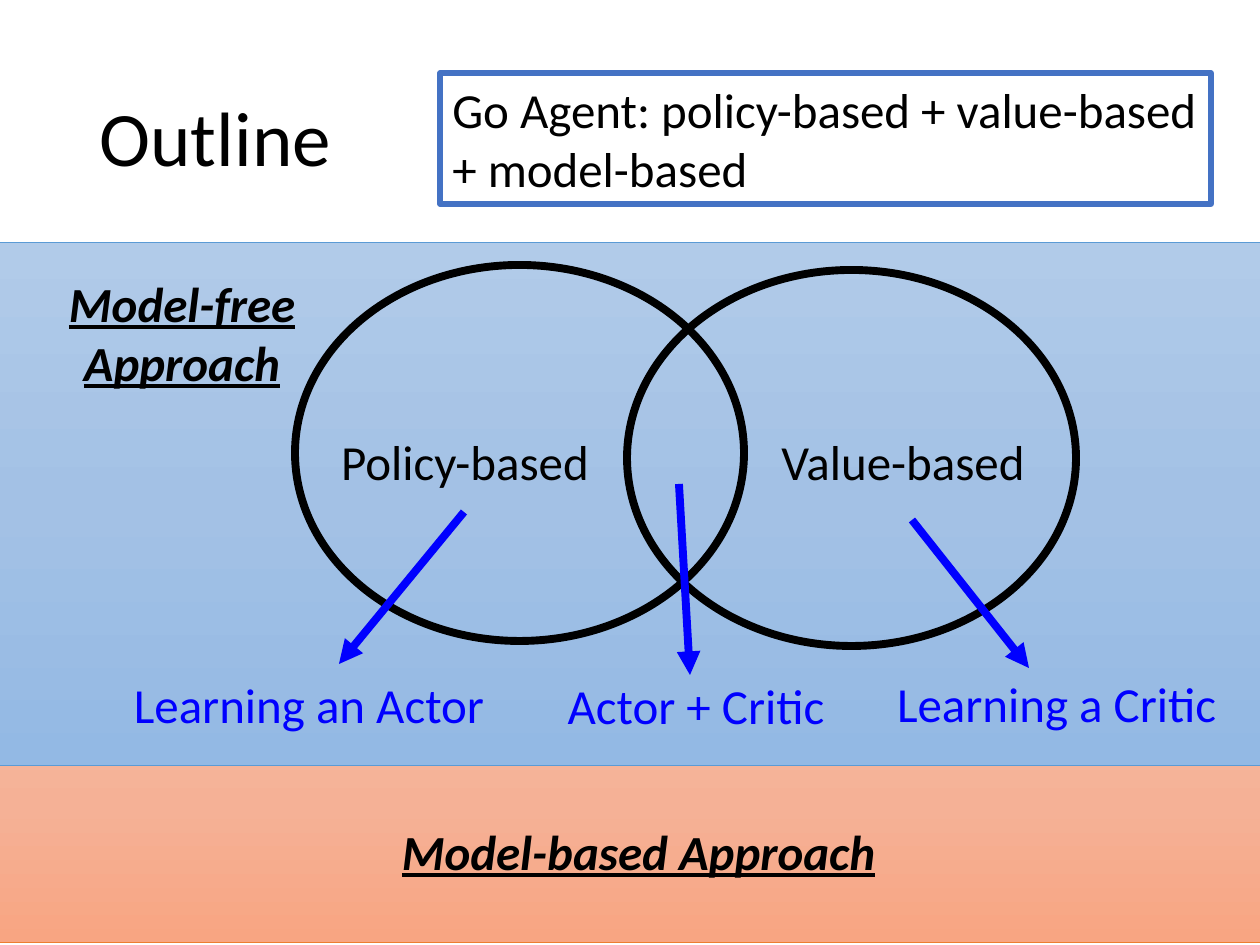
"""Build the outline slide on model-free and model-based approaches."""
from copy import deepcopy

from pptx import Presentation
from pptx import util as u
from pptx.dml.color import RGBColor
from pptx.enum import shapes, text
from pptx.oxml import ns, parse_xml

rgb = RGBColor.from_string
MSO = shapes.MSO_SHAPE
AL = text.PP_ALIGN
A = ns.nsdecls("a")


def px(*lengths):
    return [u.Emu(round(n * 914400 / 126)) for n in lengths]


def write(s, words, size=28, color="000000", align=AL.CENTER, strong=False,
          anchor=text.MSO_ANCHOR.TOP, spacing=None):
    tf = s.text_frame
    tf.word_wrap = True
    tf.vertical_anchor = anchor
    p = tf.paragraphs[0]
    p.alignment = align
    p.line_spacing = spacing
    r = p.add_run()
    r.text = words
    r.font.name = "Calibri"
    r.font.size = u.Pt(size)
    r.font.color.rgb = rgb(color)
    if strong:
        r.font.bold = r.font.italic = r.font.underline = True


prs = Presentation()
prs.slide_width, prs.slide_height = px(1260, 945)
slide = prs.slides.add_slide(prs.slide_layouts[5])
sp = slide.shapes

title = sp.title
title.left, title.top, title.width, title.height = px(87, 50, 1086, 183)
write(title, "Outline", size=44, align=AL.LEFT, anchor=text.MSO_ANCHOR.MIDDLE, spacing=0.9)

bands = [
    (667, 276, ["F7BDA5", "F5B196", "F8A582"], "ED7D31"),
    (242, 524, ["B1CBE9", "A3C1E5", "93B9E4"], "5B9BD5"),
]
for top, height, colors, edge in bands:
    s = sp.add_shape(MSO.RECTANGLE, *px(-23, top, 1358, height))
    s.shadow.inherit = False
    s.fill.gradient()
    s.fill.gradient_angle = 270
    first = s._element.spPr.find(".//" + ns.qn("a:gs"))
    first.addnext(deepcopy(first))
    for i, stop in enumerate(s.fill.gradient_stops):
        stop.position = i / 2
        stop.color.rgb = rgb(colors[i])
    s.line.color.rgb = rgb(edge)
    s.line.width = u.Pt(0.5)

for left, top in [(295, 265), (627, 270)]:
    s = sp.add_shape(MSO.OVAL, *px(left, top, 449, 376))
    s.shadow.inherit = False
    s.fill.background()
    s.line.color.rgb = rgb("000000")
    s.line.width = u.Pt(4.5)

labels = [
    ("Policy-based", (295, 425, 340, 72), {}),
    ("Value-based", (733, 425, 340, 72), {}),
    ("Learning an Actor", (108, 668, 402, 72), {"color": "0000FF"}),
    ("Learning a Critic", (844, 667, 425, 72), {"color": "0000FF"}),
    ("Actor + Critic", (519, 669, 354, 72), {"color": "0000FF"}),
    ("Model-based Approach", (296, 815, 685, 72), {"strong": True}),
    ("Model-free Approach", (10, 267, 344, 131), {"strong": True}),
]
for words, at, style in labels:
    write(sp.add_textbox(*px(*at)), words, **style)

for ends in [(912, 520, 1029, 668), (464, 512, 339, 664), (679, 484, 690, 675)]:
    s = sp.add_connector(shapes.MSO_CONNECTOR.STRAIGHT, *px(*ends))
    s.line.color.rgb = rgb("0000FF")
    s.line.width = u.Pt(4.5)
    s.line._get_or_add_ln().append(parse_xml(f'<a:tailEnd {A} type="triangle"/>'))
    s._element.spPr.append(parse_xml(f"<a:effectLst {A}/>"))

s = sp.add_shape(MSO.RECTANGLE, *px(440, 73, 771, 131))
s.shadow.inherit = False
s.fill.solid()
s.fill.fore_color.rgb = rgb("FFFFFF")
s.line.color.rgb = rgb("4472C4")
s.line.width = u.Pt(3)
write(s, "Go Agent: policy-based + value-based + model-based", align=AL.LEFT)

prs.save("out.pptx")
